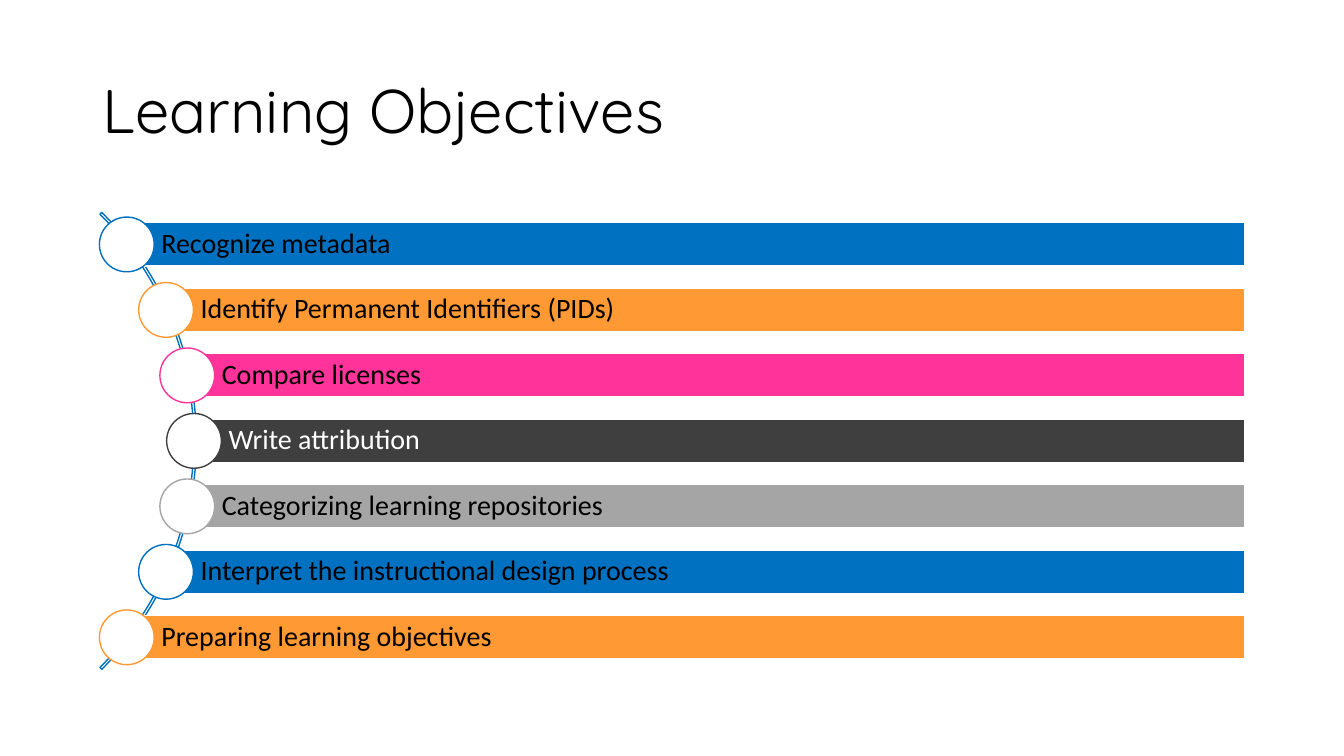
"""Build the Learning Objectives slide: seven bars strung along an arc."""
import math

import pptx
import pptx.dml.color
import pptx.enum.shapes
import pptx.enum.text
import pptx.util

Cm = pptx.util.Cm
Pt = pptx.util.Pt
RGBColor = pptx.dml.color.RGBColor
SHAPES = pptx.enum.shapes.MSO_SHAPE
MIDDLE = pptx.enum.text.MSO_ANCHOR.MIDDLE
LEFT = pptx.enum.text.PP_ALIGN.LEFT

BLACK = RGBColor(0x00, 0x00, 0x00)
WHITE = RGBColor(0xFF, 0xFF, 0xFF)
BLUE = RGBColor(0x00, 0x70, 0xC0)
ORANGE = RGBColor(0xFF, 0x99, 0x33)
PINK = RGBColor(0xFF, 0x33, 0x99)
CHARCOAL = RGBColor(0x3F, 0x3F, 0x3F)
GRAY = RGBColor(0xA5, 0xA5, 0xA5)

HEADING = "Learning Objectives"
OBJECTIVES = [
    ("Recognize metadata", BLUE, BLACK),
    ("Identify Permanent Identifiers (PIDs)", ORANGE, BLACK),
    ("Compare licenses", PINK, BLACK),
    ("Write attribution", CHARCOAL, WHITE),
    ("Categorizing learning repositories", GRAY, BLACK),
    ("Interpret the instructional design process", BLUE, BLACK),
    ("Preparing learning objectives", ORANGE, BLACK),
]

HEADING_FRAME = {
    "word_wrap": True, "vertical_anchor": MIDDLE,
    "margin_left": Cm(0.25), "margin_right": Cm(0.25),
    "margin_top": Cm(0.13), "margin_bottom": Cm(0.13),
}
BAR_FRAME = {
    "word_wrap": True, "vertical_anchor": MIDDLE,
    "margin_left": Cm(0.87), "margin_right": Cm(0.15),
    "margin_top": Cm(0.15), "margin_bottom": Cm(0.15),
}
PARAGRAPH = {"alignment": LEFT, "line_spacing": 0.9}
HEADING_FONT = {"name": "Quicksand", "size": Pt(44)}
BAR_FONT = {"name": "Calibri", "size": Pt(20)}

ARC_X, ARC_Y = -3.19, 11.11
ARC_SIZE = 16.28
ARC_ADJUSTMENTS = (189, 27, 0.004)
ORBIT = 8.08
PITCH = 1.65
BAR_HEIGHT = 1.09
BAR_RIGHT = 31.38
DOT_SIZE = 1.38


def apply(target, values):
    for key, value in values.items():
        setattr(target, key, value)


def write(shape, text, color, frame, font):
    apply(shape.text_frame, frame)
    paragraph = shape.text_frame.paragraphs[0]
    apply(paragraph, PARAGRAPH)
    run = paragraph.add_run()
    run.text = text
    apply(run.font, font)
    run.font.color.rgb = color


def draw(slide, kind, center_y, left, width, height, fill, line):
    shape = slide.shapes.add_shape(
        kind, Cm(left), Cm(center_y - height / 2), Cm(width), Cm(height))
    shape.shadow.inherit = False
    if fill is None:
        shape.fill.background()
    else:
        shape.fill.solid()
        shape.fill.fore_color.rgb = fill
    shape.line.color.rgb = line
    shape.line.width = Pt(1)
    return shape


def main():
    deck = pptx.Presentation()
    deck.slide_width, deck.slide_height = Cm(33.87), Cm(19.05)
    slide = deck.slides.add_slide(deck.slide_layouts[6])

    heading = slide.shapes.add_textbox(Cm(2.33), Cm(1.01), Cm(29.21), Cm(3.68))
    write(heading, HEADING, BLACK, HEADING_FRAME, HEADING_FONT)

    arc = draw(slide, SHAPES.BLOCK_ARC, ARC_Y, ARC_X - ARC_SIZE / 2,
               ARC_SIZE, ARC_SIZE, None, BLUE)
    for index, value in enumerate(ARC_ADJUSTMENTS):
        arc.adjustments[index] = value

    for index, (objective, color, text_color) in enumerate(OBJECTIVES):
        rise = (index - (len(OBJECTIVES) - 1) / 2) * PITCH
        x = ARC_X + math.sqrt(ORBIT ** 2 - rise ** 2)
        y = ARC_Y + rise
        bar = draw(slide, SHAPES.RECTANGLE, y, x, BAR_RIGHT - x, BAR_HEIGHT,
                   color, WHITE)
        write(bar, objective, text_color, BAR_FRAME, BAR_FONT)
        draw(slide, SHAPES.OVAL, y, x - DOT_SIZE / 2, DOT_SIZE, DOT_SIZE,
             WHITE, color)

    deck.save("out.pptx")


if __name__ == "__main__":
    main()
